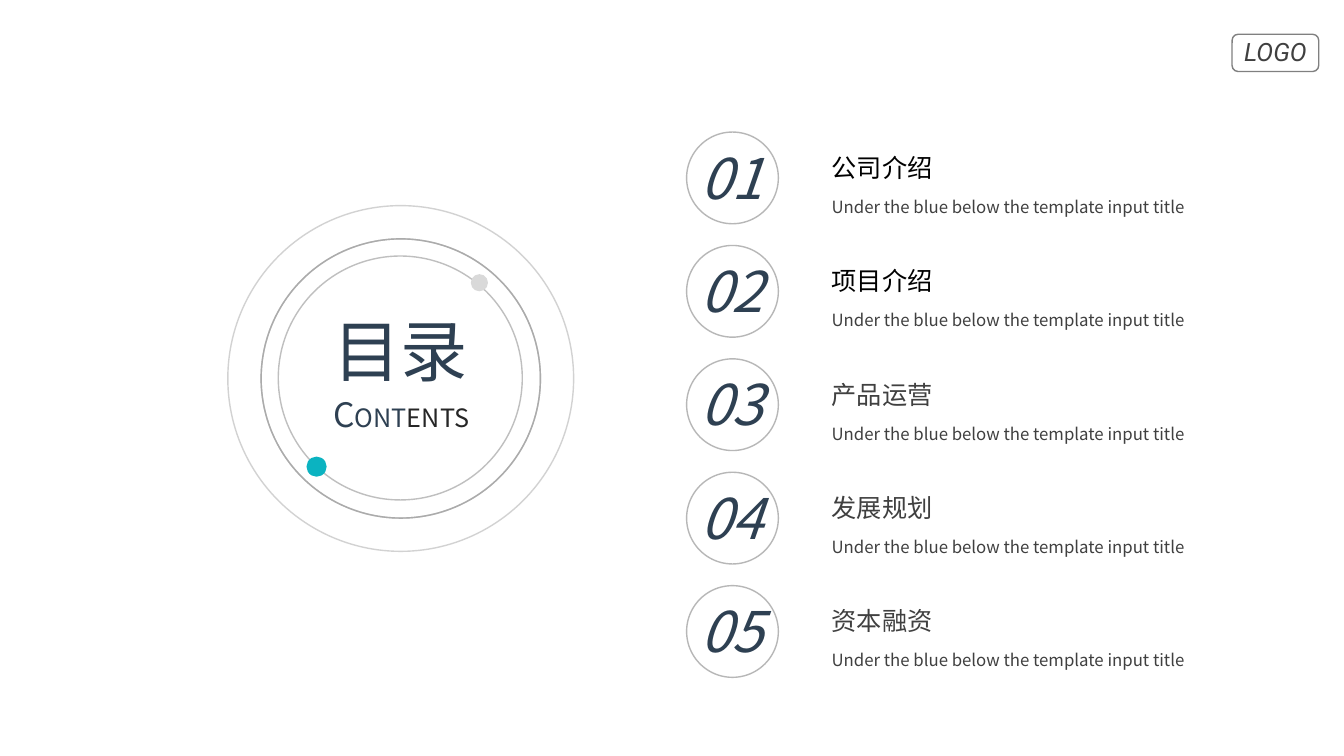
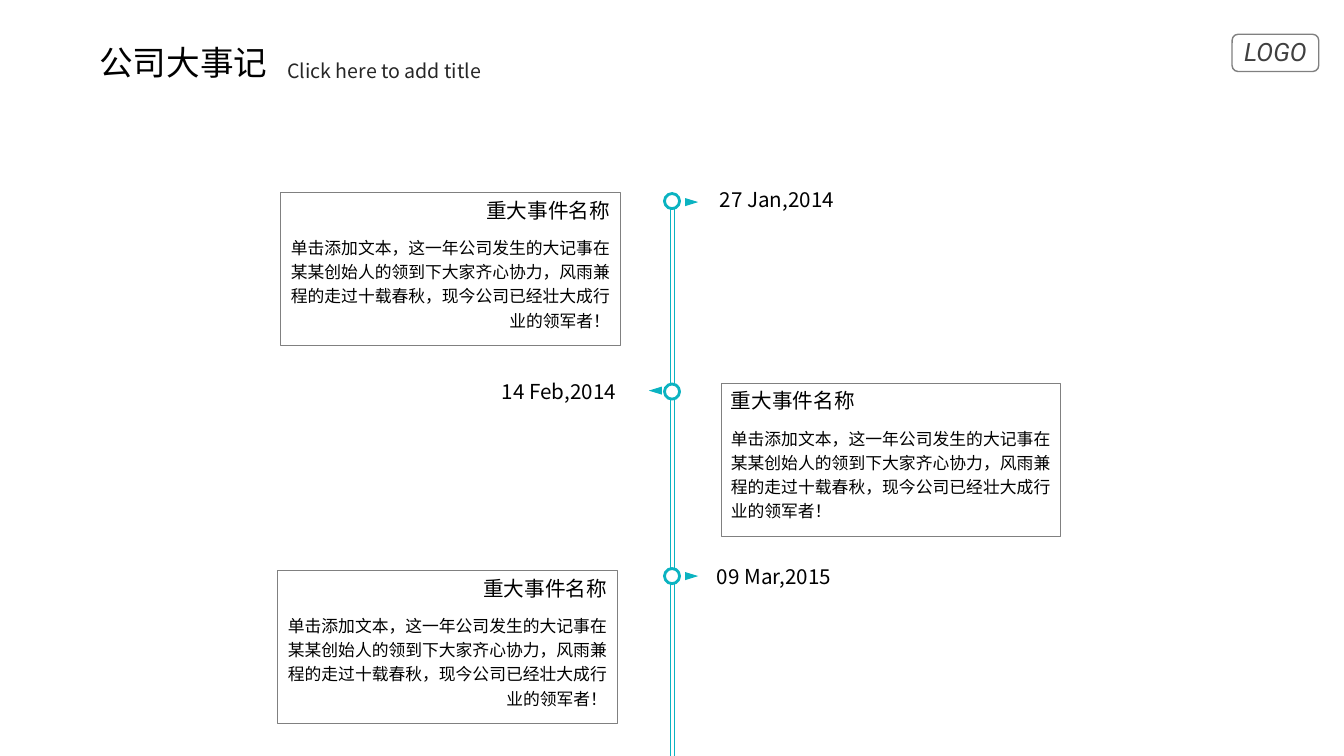
"""Build a contents slide and a company timeline slide."""
from dataclasses import dataclass

from lxml.etree import SubElement
from pptx import Presentation
from pptx.dml.color import RGBColor
from pptx.enum.shapes import MSO_CONNECTOR, MSO_SHAPE
from pptx.enum.text import MSO_AUTO_SIZE, PP_ALIGN
from pptx.oxml.ns import qn
from pptx.util import Inches, Pt

COLORS = {
    "navy": "2E4052",
    "teal": "0BB3C1",
    "black": "000000",
    "ink": "262626",
    "text": "404040",
    "frame": "808080",
    "ring": "A6A6A6",
    "inner_ring": "BFBFBF",
    "dot": "D9D9D9",
    "white": "FFFFFF",
}
FONT = "Noto Sans CJK SC"
LOGO_FONT = "Roboto"
ROW_PITCH = 4.5 / 4
SUBTITLE = "Under the blue below the template input title"
EVENT_TITLE = "重大事件名称"
EVENT_BODY = (
    "单击添加文本，这一年公司发生的大记事在某某创始人的领到下大家齐心协力，"
    "风雨兼程的走过十载春秋，现今公司已经壮大成行业的领军者！"
)


@dataclass(frozen=True)
class Area:
    left: float
    top: float
    width: float
    height: float

    def lengths(self) -> tuple:
        return tuple(Inches(n) for n in (self.left, self.top, self.width, self.height))


@dataclass(frozen=True)
class TextStyle:
    size: float
    color: str = "black"
    align: PP_ALIGN = PP_ALIGN.LEFT
    font: str = FONT
    italic: bool = False
    spacing: float | None = None
    wrap: bool = True


@dataclass(frozen=True)
class Outline:
    color: str
    width: float = 1
    opacity: int = 100


@dataclass(frozen=True)
class Ring:
    left: float
    top: float
    size: float
    outline: Outline


@dataclass(frozen=True)
class Chapter:
    title: str
    color: str


@dataclass(frozen=True)
class Event:
    date: str
    date_area: Area
    node_top: float
    arrow: Area
    arrow_turn: int
    card_left: float
    card_top: float
    title_align: PP_ALIGN
    body_align: PP_ALIGN


RINGS = [
    Ring(2.76, 2.54, 2.42, Outline("inner_ring")),
    Ring(2.59, 2.37, 2.77, Outline("ring", opacity=70)),
    Ring(2.59, 2.37, 2.77, Outline("ring", opacity=80)),
    Ring(2.26, 2.04, 3.43, Outline("ring", opacity=50)),
]
CHAPTERS = [
    Chapter("公司介绍", "black"),
    Chapter("项目介绍", "black"),
    Chapter("产品运营", "text"),
    Chapter("发展规划", "text"),
    Chapter("资本融资", "text"),
]
EVENTS = [
    Event("27 Jan,2014", Area(7.04, 1.81, 1.82, 0.35), 1.92, Area(6.82, 1.94, 0.08, 0.13),
          90, 2.78, 1.91, PP_ALIGN.RIGHT, PP_ALIGN.RIGHT),
    Event("14 Feb,2014", Area(4.88, 3.71, 1.46, 0.35), 3.81, Area(6.46, 3.81, 0.08, 0.13),
          270, 7.15, 3.8, PP_ALIGN.LEFT, PP_ALIGN.JUSTIFY),
    Event("09 Mar,2015", Area(7.01, 5.55, 1.82, 0.35), 5.64, Area(6.82, 5.65, 0.08, 0.13),
          90, 2.75, 5.66, PP_ALIGN.RIGHT, PP_ALIGN.RIGHT),
]


def rgb(name: str) -> RGBColor:
    return RGBColor.from_string(COLORS[name])


def add_figure(page, kind: MSO_SHAPE, area: Area, fill: str | None = None,
               outline: Outline | None = None):
    """Draw a preset shape with an optional fill and outline."""
    figure = page.shapes.add_shape(kind, *area.lengths())
    figure.shadow.inherit = False
    if fill:
        figure.fill.solid()
        figure.fill.fore_color.rgb = rgb(fill)
    else:
        figure.fill.background()
    if outline is None:
        figure.line.fill.background()
        return figure
    figure.line.color.rgb = rgb(outline.color)
    figure.line.width = Pt(outline.width)
    if outline.opacity < 100:
        color = figure.line._get_or_add_ln().find(".//" + qn("a:srgbClr"))
        SubElement(color, qn("a:alpha"), val=str(outline.opacity * 1000))
    return figure


def add_box(page, area: Area, wrap: bool = True):
    """Add an empty text box and return its first paragraph."""
    frame = page.shapes.add_textbox(*area.lengths()).text_frame
    frame.word_wrap = wrap
    frame.auto_size = MSO_AUTO_SIZE.SHAPE_TO_FIT_TEXT
    return frame.paragraphs[0]


def add_text(page, area: Area, text: str, style: TextStyle) -> None:
    """Add a text box holding one uniformly styled paragraph."""
    para = add_box(page, area, style.wrap)
    para.text = text
    para.alignment = style.align
    if style.spacing:
        para.line_spacing = style.spacing
    font = para.font
    font.name = style.font
    font.size = Pt(style.size)
    font.italic = style.italic
    font.color.rgb = rgb(style.color)
    defaults = para._p.pPr.find(qn("a:defRPr"))
    SubElement(defaults, qn("a:ea"), typeface=style.font)


def add_rail(page, x: float, top: float, bottom: float) -> None:
    """Draw one vertical line of the timeline."""
    rail = page.shapes.add_connector(
        MSO_CONNECTOR.STRAIGHT, Inches(x), Inches(top), Inches(x), Inches(bottom))
    rail.line.color.rgb = rgb("teal")
    rail.line.width = Pt(0.75)
    SubElement(rail._element.spPr, qn("a:effectLst"))


def add_page(deck):
    """Add a blank page with the shared logo badge."""
    page = deck.slides.add_slide(deck.slide_layouts[6])
    add_figure(page, MSO_SHAPE.ROUNDED_RECTANGLE, Area(12.22, 0.34, 0.86, 0.37),
               outline=Outline("frame"))
    add_text(page, Area(12.13, 0.31, 1.04, 0.4), "LOGO",
             TextStyle(18, "text", PP_ALIGN.CENTER, LOGO_FONT, italic=True))
    return page


def add_chapter(page, index: int, chapter: Chapter) -> None:
    """Draw one numbered row of the contents list."""
    top = 1.31 + index * ROW_PITCH
    add_text(page, Area(8.15, top + 0.15, 1.83, 0.4), chapter.title,
             TextStyle(18, chapter.color))
    add_text(page, Area(8.15, top + 0.59, 4.33, 0.3), SUBTITLE, TextStyle(12, "text"))
    add_text(page, Area(6.85, top + 0.06, 0.86, 0.77), f"{index + 1:02}",
             TextStyle(40, "navy", italic=True, wrap=False))
    add_figure(page, MSO_SHAPE.OVAL, Area(6.81, top, 0.91, 0.91),
               outline=Outline("ring", opacity=80))


def build_contents(deck) -> None:
    """Build the contents slide."""
    page = add_page(deck)
    for ring in RINGS:
        add_figure(page, MSO_SHAPE.OVAL, Area(ring.left, ring.top, ring.size, ring.size),
                   outline=ring.outline)
    add_figure(page, MSO_SHAPE.OVAL, Area(3.04, 4.53, 0.2, 0.2), "teal")
    add_figure(page, MSO_SHAPE.OVAL, Area(4.67, 2.72, 0.17, 0.17), "dot")
    add_text(page, Area(2.84, 3.02, 2.27, 0.91), "目录",
             TextStyle(48, "navy", PP_ALIGN.CENTER))
    para = add_box(page, Area(3.17, 3.86, 1.62, 0.5), wrap=False)
    para.alignment = PP_ALIGN.CENTER
    for text, size, color in (("C", 24, "navy"), ("ONT", 18, "navy"), ("ENTS", 18, "ink")):
        span = para.add_run()
        span.text = text
        span.font.name = FONT
        span.font.size = Pt(size)
        span.font.color.rgb = rgb(color)
    for index, chapter in enumerate(CHAPTERS):
        add_chapter(page, index, chapter)


def add_event(page, event: Event) -> None:
    """Draw the node, arrow, date and card of one event."""
    left, top, width = event.card_left, event.card_top, 3.37
    add_figure(page, MSO_SHAPE.OVAL, Area(6.59, event.node_top, 0.15, 0.15), "white",
               Outline("teal", 2))
    arrow = add_figure(page, MSO_SHAPE.ISOSCELES_TRIANGLE, event.arrow, "teal")
    arrow.rotation = event.arrow_turn
    add_text(page, event.date_area, event.date, TextStyle(14.7))
    add_figure(page, MSO_SHAPE.RECTANGLE, Area(left, top, width, 1.52),
               outline=Outline("frame", 0.5))
    add_text(page, Area(left, top, width, 0.35), EVENT_TITLE,
             TextStyle(14.7, align=event.title_align))
    add_text(page, Area(left, top + 0.36, width, 1.07), EVENT_BODY,
             TextStyle(12, align=event.body_align, spacing=1.2))


def build_timeline(deck) -> None:
    """Build the company timeline slide."""
    page = add_page(deck)
    add_text(page, Area(0.21, 0.37, 2.54, 0.5), "公司大事记",
             TextStyle(24, align=PP_ALIGN.RIGHT))
    add_text(page, Area(2.75, 0.49, 2.43, 0.38), "Click here to add title",
             TextStyle(14, "ink", spacing=1.2))
    for x in (6.65, 6.69):
        add_rail(page, x, 1.98, 7.5)
    for event in EVENTS:
        add_event(page, event)


def main() -> None:
    """Create and save the deck."""
    deck = Presentation()
    deck.slide_width = Inches(13.33)
    deck.slide_height = Inches(7.5)
    build_contents(deck)
    build_timeline(deck)
    deck.save("out.pptx")


if __name__ == "__main__":
    main()
